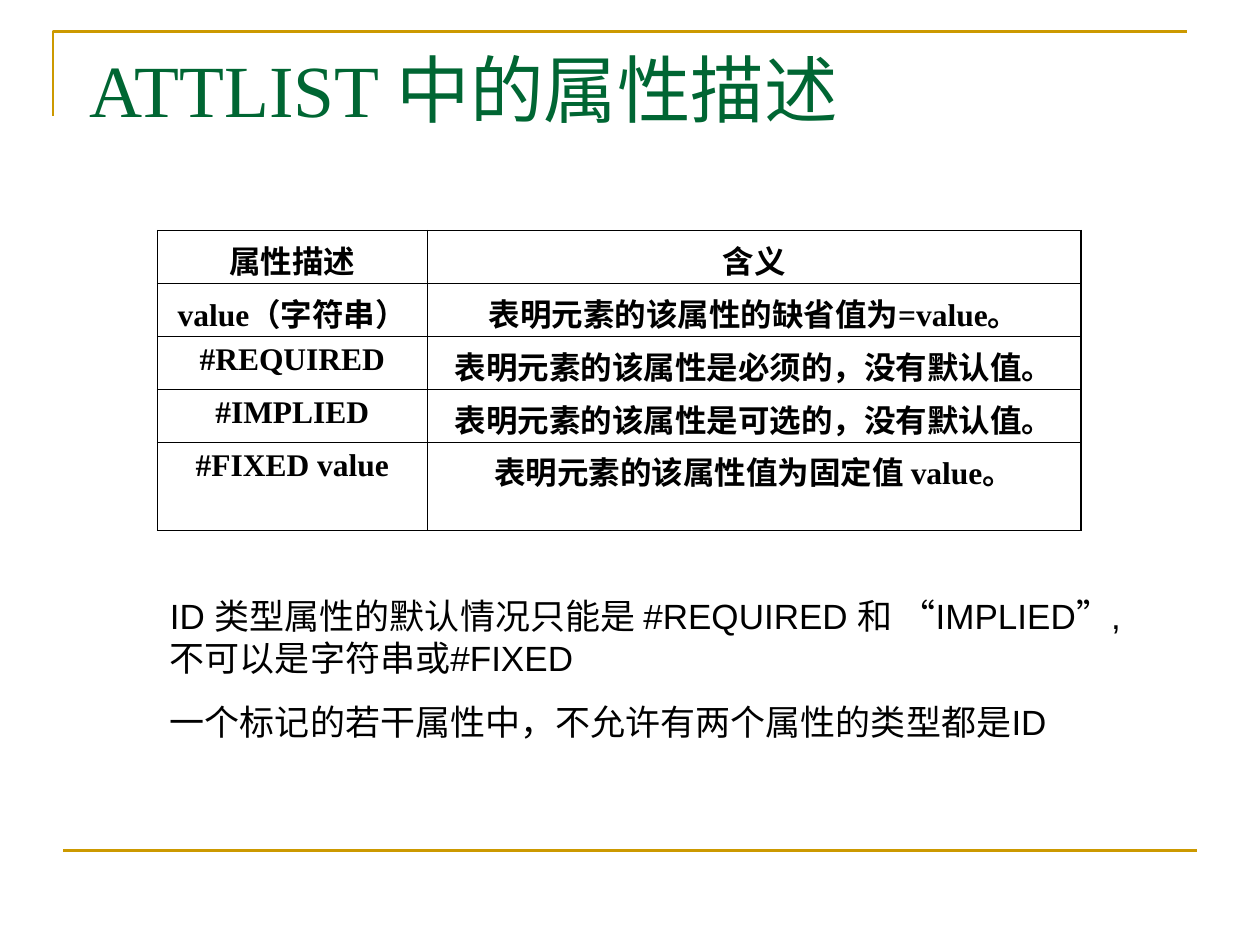
from dataclasses import dataclass

from lxml.etree import SubElement
from pptx import Presentation
from pptx.dml.color import RGBColor
from pptx.enum.shapes import MSO_CONNECTOR
from pptx.enum.text import PP_ALIGN
from pptx.oxml.ns import qn
from pptx.slide import Slide
from pptx.util import Inches, Pt


def colour(code):
    return RGBColor.from_string(code)


@dataclass
class SlideBuilder:
    """Draws styled elements on the current slide."""

    page: Slide
    accent: str = "CC9900"
    heading: str = "006633"
    ink: str = "000000"
    serif: str = "Times New Roman"
    sans: str = "Arial"
    outer: float = 0.96
    inner: float = 0.45

    def style_line(self, shape):
        shape.line.color.rgb = colour(self.accent)
        shape.line.width = Pt(1.5)

    def corner(self, left, top, right, bottom):
        builder = self.page.shapes.build_freeform(Inches(left), Inches(bottom))
        points = [(Inches(left), Inches(top)), (Inches(right), Inches(top))]
        builder.add_line_segments(points, close=False)
        shape = builder.convert_to_shape()
        shape.shadow.inherit = False
        shape.fill.background()
        self.style_line(shape)

    def rule(self, left, right, top):
        connector = self.page.shapes.add_connector(
            MSO_CONNECTOR.STRAIGHT, Inches(left), Inches(top), Inches(right), Inches(top))
        self.style_line(connector)
        SubElement(connector._element.spPr, qn("a:effectLst"))

    def style_font(self, font, name, size, code, bold=False):
        font.name = name
        font.size = Pt(size)
        font.bold = bold
        font.color.rgb = colour(code)

    def text(self, area, lines, name, size, code):
        box = self.page.shapes.add_textbox(*map(Inches, area))
        frame = box.text_frame
        frame.word_wrap = True
        frame.text = "\n".join(lines)
        for index, para in enumerate(frame.paragraphs):
            self.style_font(para.font, name, size, code)
            if index:
                para.space_before = Pt(12.5)

    def border(self, cell, widths):
        properties = cell._tc.get_or_add_tcPr()
        for side, width in zip("LRTB", widths):
            line = SubElement(properties, qn(f"a:ln{side}"), w=str(Pt(width)))
            fill = SubElement(line, qn("a:solidFill"))
            SubElement(fill, qn("a:srgbClr"), val=self.ink)

    def table(self, left, top, widths, heights, rows):
        last_row, last_column = len(heights) - 1, len(widths) - 1
        frame = self.page.shapes.add_table(
            len(heights), len(widths), Inches(left), Inches(top),
            Inches(sum(widths)), Inches(sum(heights)))
        table = frame.table
        table.first_row = table.horz_banding = False
        for column, width in zip(table.columns, widths):
            column.width = Inches(width)
        for row, height in zip(table.rows, heights):
            row.height = Inches(height)
        for y, words in enumerate(rows):
            for x, word in enumerate(words):
                cell = table.cell(y, x)
                cell.text = word
                para = cell.text_frame.paragraphs[0]
                para.alignment = PP_ALIGN.CENTER
                self.style_font(para.font, self.serif, 18, self.ink, bold=True)
                edges = (x == 0, x == last_column, y == 0, y == last_row)
                self.border(cell, [self.outer if edge else self.inner for edge in edges])
                cell.fill.background()


def main():
    deck = Presentation()
    deck.slide_width, deck.slide_height = Inches(10), Inches(7.5)
    slide = SlideBuilder(deck.slides.add_slide(deck.slide_layouts[6]))
    slide.corner(0.42, 0.25, 9.42, 0.92)
    slide.rule(0.5, 9.5, 6.75)
    slide.text((0.5, 0.3, 9, 1.25), [" ATTLIST 中的属性描述"], slide.serif, 42, slide.heading)
    slide.table(1.25, 1.83, [2.14, 5.19], [0.42] * 4 + [0.7], [
        ("属性描述", "含义"),
        ("value（字符串）", "表明元素的该属性的缺省值为=value。"),
        ("#REQUIRED", "表明元素的该属性是必须的，没有默认值。"),
        ("#IMPLIED", "表明元素的该属性是可选的，没有默认值。"),
        ("#FIXED value", "表明元素的该属性值为固定值 value。"),
    ])
    slide.text((1.25, 4.67, 7.83, 1.28), [
        "ID 类型属性的默认情况只能是 #REQUIRED 和 “IMPLIED”,不可以是字符串或#FIXED",
        "一个标记的若干属性中，不允许有两个属性的类型都是ID",
    ], slide.sans, 20, slide.ink)
    deck.save("out.pptx")


if __name__ == "__main__":
    main()
